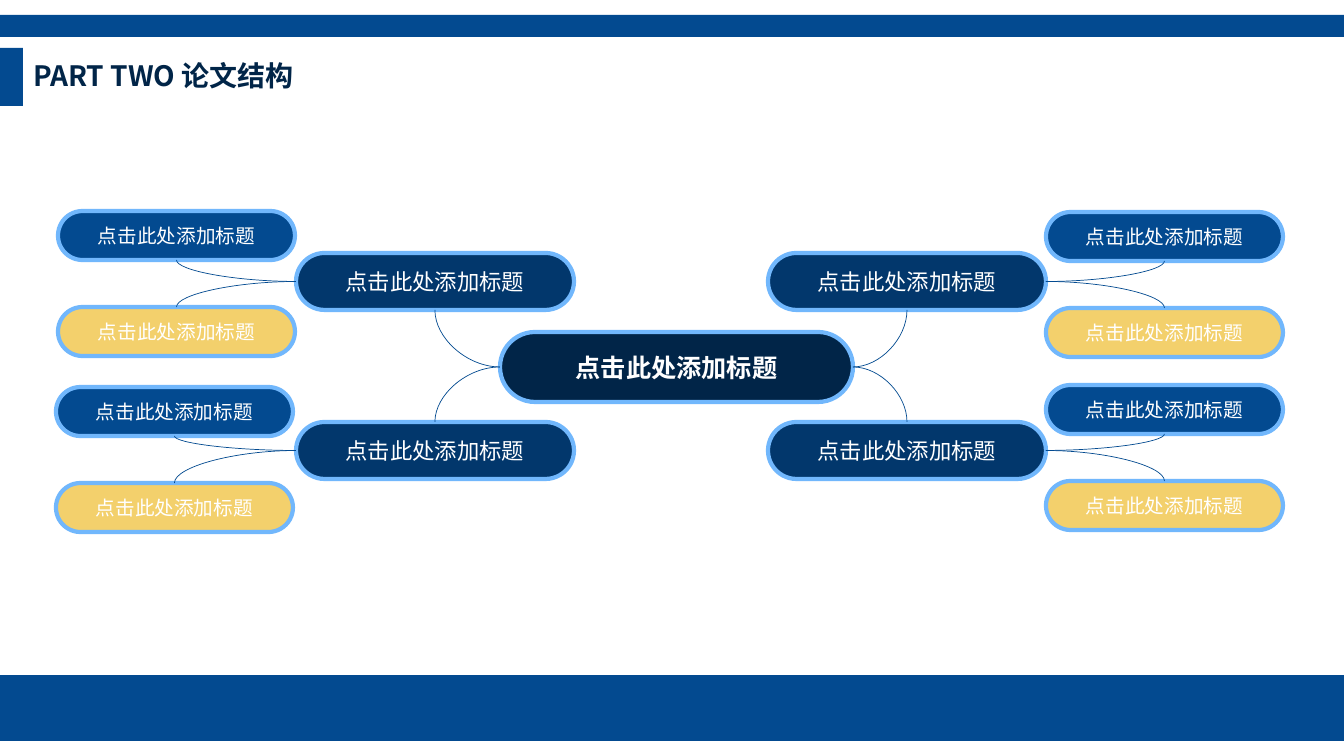
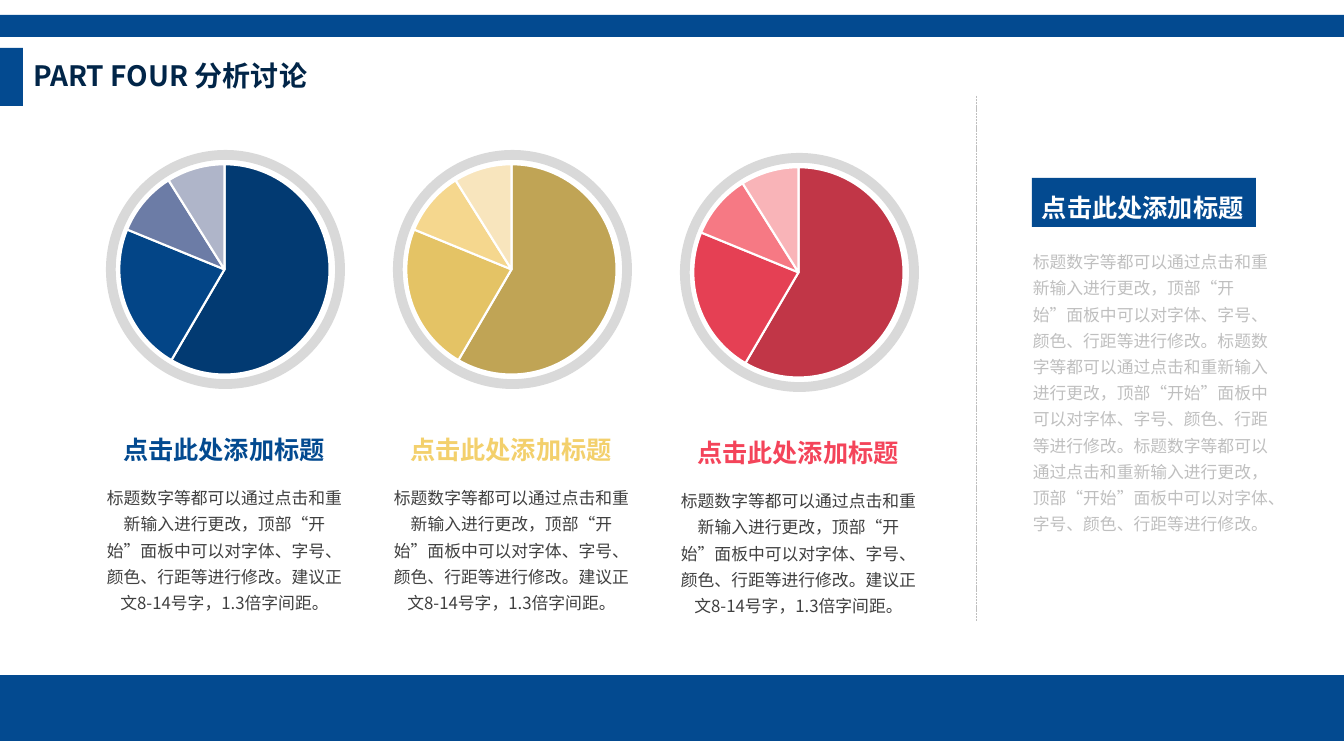
import pptx
import pptx.chart.data
import pptx.dml.color
import pptx.enum.chart
import pptx.enum.dml
import pptx.enum.shapes
import pptx.enum.text
import pptx.oxml
import pptx.oxml.ns
import pptx.util

PX = 914400 / 100.8
SLIDE_WIDTH, SLIDE_HEIGHT = 1344, 756
COLORS = {
    "blue": "034A90",
    "navy": "012548",
    "deep": "02376C",
    "sky": "71B7FC",
    "gold": "F3D06C",
    "red": "F4445A",
    "white": "FFFFFF",
    "ring": "D9D9D9",
    "pale": "BFBFBF",
    "body": "404040",
}
SANS = "Noto Sans CJK SC"
HEADING = "点击此处添加标题"
EDIT_HINT = (
    "标题数字等都可以通过点击和重新输入进行更改，"
    "顶部“开始”面板中可以对字体、字号、颜色、行距等进行修改。"
)
CARD_TEXT = EDIT_HINT + "建议正文8-14号字，1.3倍字间距。"
PIE_VALUES = (59, 23, 10, 9)
TOP, LEFT, BOTTOM, RIGHT = range(4)  # connection sites of a pill
SHAPES = pptx.enum.shapes.MSO_SHAPE
CONNECTORS = pptx.enum.shapes.MSO_CONNECTOR
ALIGN = pptx.enum.text.PP_ALIGN
ANCHOR = pptx.enum.text.MSO_ANCHOR
qn = pptx.oxml.ns.qn


def px(*lengths):
    return [pptx.util.Emu(round(length * PX)) for length in lengths]


def rgb(color):
    return pptx.dml.color.RGBColor.from_string(COLORS.get(color, color))


def paint(shape, color):
    shape.fill.solid()
    shape.fill.fore_color.rgb = rgb(color)


def write(shape, text, size, color, bold=False, font="Arial", align=ALIGN.LEFT, spacing=1.0):
    paragraph = shape.text_frame.paragraphs[0]
    paragraph.text = text
    paragraph.alignment = align
    paragraph.line_spacing = spacing
    for run in paragraph.runs:
        run.font.size = pptx.util.Pt(size)
        run.font.bold = bold
        run.font.color.rgb = rgb(color)
        run.font.name = font
        east_asian = run._r.get_or_add_rPr().makeelement(qn("a:ea"), {"typeface": SANS})
        run._r.get_or_add_rPr().append(east_asian)


def add_shape(slide, preset, box, color):
    shape = slide.shapes.add_shape(preset, *px(*box))
    shape.shadow.inherit = False
    paint(shape, color)
    shape.line.fill.background()
    return shape


def add_text(slide, box, text, size, color, wrap=True, **style):
    text_box = slide.shapes.add_textbox(*px(*box))
    text_box.text_frame.word_wrap = wrap
    write(text_box, text, size, color, spacing=1.3, **style)
    return text_box


def add_line(slide, kind, start, end, color):
    line = slide.shapes.add_connector(kind, *px(*start, *end))
    line.line.color.rgb = rgb(color)
    line.line.width = pptx.util.Pt(0.5)
    properties = line.element.spPr
    properties.append(properties.makeelement(qn("a:effectLst"), {}))
    return line


def set_up_layout(layout, slide):
    """Place the title on the layout and move the bands there from a slide."""
    for placeholder in list(layout.placeholders):
        if placeholder.placeholder_format.idx == 0:
            placeholder.left, placeholder.top, placeholder.width, placeholder.height = px(23, 48, 536, 58)
        else:
            layout.shapes.element.remove(placeholder.element)
    for box in ((0, 675, SLIDE_WIDTH, 66), (0, 15, SLIDE_WIDTH, 22), (0, 48, 23, 58)):
        band = add_shape(slide, SHAPES.RECTANGLE, box, "blue")
        layout.shapes.element.append(band.element)


def set_title(slide, text):
    title = slide.shapes.title
    title.text_frame.vertical_anchor = ANCHOR.MIDDLE
    write(title, text, 20, "navy", bold=True, font=SANS, spacing=0.9)


def add_pill(slide, box, color, size, bold=False):
    pill = add_shape(slide, SHAPES.ROUNDED_RECTANGLE, box, color)
    pill.adjustments[0] = 0.5
    pill.line.color.rgb = rgb("sky")
    pill.line.width = pptx.util.Pt(3)
    pill.text_frame.vertical_anchor = ANCHOR.MIDDLE
    write(pill, HEADING, size, "white", bold=bold, align=ALIGN.CENTER)
    return pill


def link(slide, parent, child, side):
    """Curve from one side of the parent to the facing edge of the child."""
    curve = add_line(slide, CONNECTORS.CURVE, (0, 0), (1, 1), "blue")
    curve.element.spPr.find(qn("a:prstGeom")).set("prst", "curvedConnector2")
    curve.begin_connect(parent, side)
    curve.end_connect(child, BOTTOM if child.top < parent.top else TOP)


def add_branch(slide, center, side, hub_place, leaf_place):
    """A hub joined to the center, with a blue leaf and a gold leaf below it."""
    hub = add_pill(slide, (*hub_place, 278, 57), "deep", 16)
    link(slide, center, hub, side)
    left, top = leaf_place
    for row, color in enumerate(("blue", "gold")):
        leaf = add_pill(slide, (left, top + 96 * row, 237, 49), color, 14)
        link(slide, hub, leaf, side)


def build_structure(slide):
    set_title(slide, "PART TWO 论文结构")
    center = add_pill(slide, (500, 332, 353, 70), "navy", 18, bold=True)
    branches = (
        (LEFT, (296, 253), (58, 211)),
        (LEFT, (296, 422), (56, 387)),
        (RIGHT, (768, 253), (1046, 212)),
        (RIGHT, (768, 422), (1046, 385)),
    )
    for branch in branches:
        add_branch(slide, center, *branch)


def set_plot_area(chart, offset, extent):
    plot_area = chart._chartSpace.find(".//" + qn("c:plotArea"))
    for layout in plot_area.findall(qn("c:layout")):
        plot_area.remove(layout)
    plot_area.insert(0, pptx.oxml.parse_xml(
        f'<c:layout {pptx.oxml.ns.nsdecls("c")}><c:manualLayout>'
        '<c:layoutTarget val="inner"/><c:xMode val="edge"/><c:yMode val="edge"/>'
        f'<c:x val="{offset}"/><c:y val="{offset}"/><c:w val="{extent}"/><c:h val="{extent}"/>'
        "</c:manualLayout></c:layout>"))


def add_pie(slide, box, slice_colors):
    data = pptx.chart.data.CategoryChartData()
    data.categories = ["1", "2", "3", "4"]
    data.add_series("Series 1", PIE_VALUES)
    chart = slide.shapes.add_chart(pptx.enum.chart.XL_CHART_TYPE.PIE, *px(*box), data).chart
    chart.has_legend = False
    chart.has_title = False
    chart.font.size = pptx.util.Pt(10)
    chart.font.name = "Arial"
    chart.font.color.rgb = rgb("000000")
    plot = chart.plots[0]
    plot.vary_by_categories = True
    for index, color in enumerate(slice_colors):
        point_format = plot.series[0].points[index].format
        paint(point_format, color)
        point_format.line.color.rgb = rgb("white")
        point_format.line.width = pptx.util.Pt(1.5)
    set_plot_area(chart, 0.06, 0.88)


def add_pie_card(slide, left, top, heading_color, slice_colors):
    add_pie(slide, (left, top, 239, 239), slice_colors)
    ring = add_shape(slide, SHAPES.DONUT, (left + 1, top, 239, 239), "ring")
    ring.adjustments[0] = 0.041
    add_text(slide, (left - 16, top + 327, 271, 142), CARD_TEXT, 12, "body",
             font=SANS, align=ALIGN.CENTER)
    add_text(slide, (left + 7, top + 270, 224, 49), HEADING, 18, heading_color,
             wrap=False, bold=True, align=ALIGN.CENTER)


def add_sidebar(slide, left, top):
    divider = add_line(slide, CONNECTORS.STRAIGHT, (left, top), (left, top + 525), "pale")
    divider.line.dash_style = pptx.enum.dml.MSO_LINE.SQUARE_DOT
    add_text(slide, (left + 47, top + 145, 262, 301), EDIT_HINT * 3, 12, "pale", font=SANS)
    label = add_text(slide, (left + 56, top + 82, 224, 49), HEADING, 18, "white",
                     wrap=False, bold=True)
    paint(label, "blue")


def build_analysis(slide):
    set_title(slide, "PART FOUR 分析讨论")
    cards = (
        (150, "blue", ("023A72", "034587", "6C7CA6", "AFB5C9")),
        (150, "gold", ("C0A455", "E4C365", "F5D78E", "F8E5BD")),
        (153, "red", ("C13647", "E54054", "F67984", "F9B4B8")),
    )
    for column, card in enumerate(cards):
        add_pie_card(slide, 105 + 287 * column, *card)
    add_sidebar(slide, 976, 96)


def main():
    presentation = pptx.Presentation()
    presentation.slide_width, presentation.slide_height = px(SLIDE_WIDTH, SLIDE_HEIGHT)
    layout = presentation.slide_layouts.get_by_name("Title Only")
    structure, analysis = [presentation.slides.add_slide(layout) for _ in range(2)]
    set_up_layout(layout, structure)
    build_structure(structure)
    build_analysis(analysis)
    presentation.save("out.pptx")


if __name__ == "__main__":
    main()
